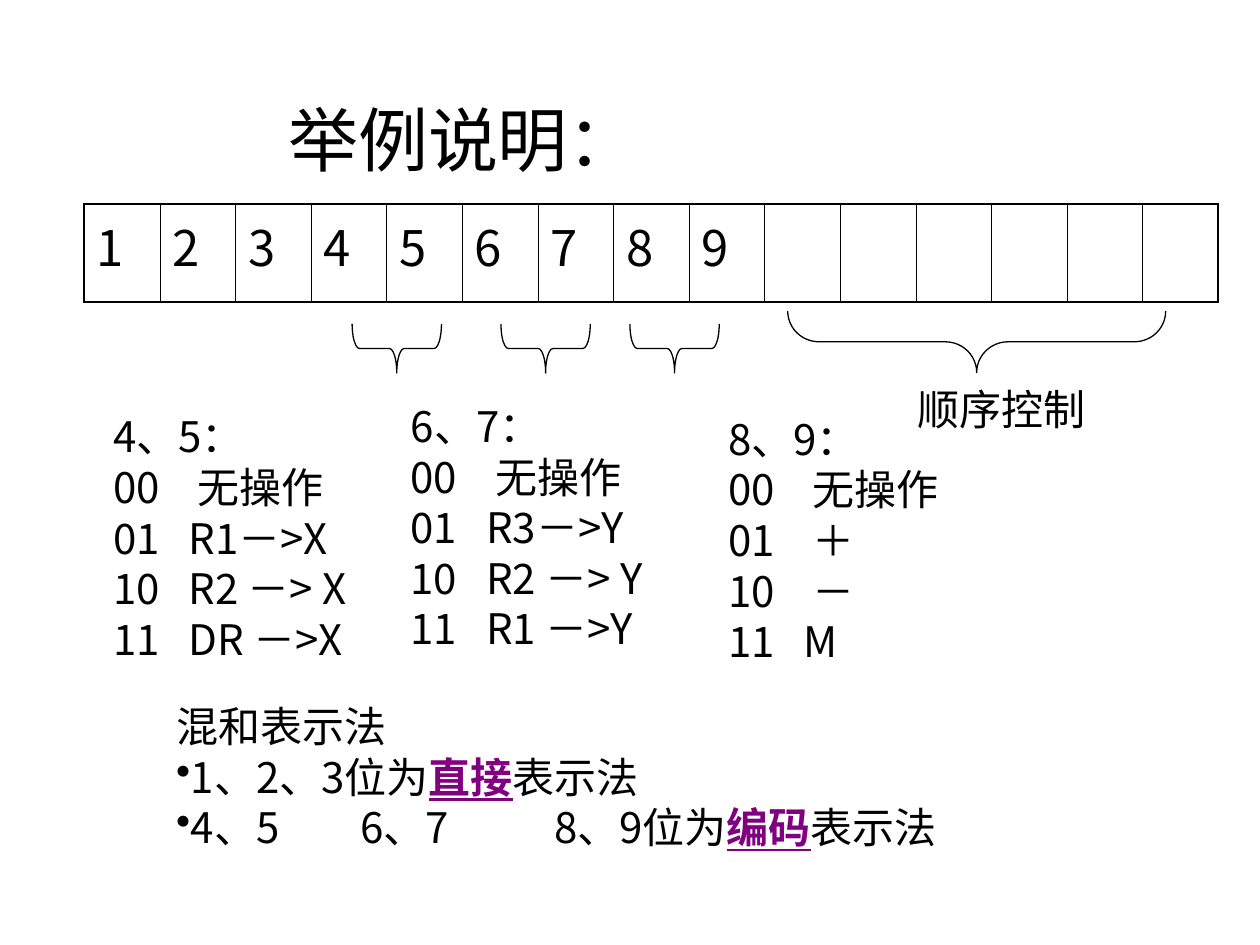
import pptx
import pptx.dml.color
import pptx.enum.shapes
import pptx.enum.text
import pptx.oxml
import pptx.oxml.ns
import pptx.util
from pptx.util import Cm

FONT = "Noto Sans CJK SC"
COLORS = {"ink": "000000", "key": "800080"}
LINE_PITCH = 1.205  # line height per point of text size
FRAME = {
    "word_wrap": True,
    "auto_size": pptx.enum.text.MSO_AUTO_SIZE.NONE,
    "vertical_anchor": pptx.enum.text.MSO_ANCHOR.TOP,
    "margin_left": Cm(0.25),
    "margin_right": Cm(0.25),
    "margin_top": Cm(0.2),
    "margin_bottom": Cm(0.13),
}
KEY_WORD = {"bold": True, "underline": True}


def apply(target, values):
    for name, value in values.items():
        setattr(target, name, value)


def rgb(name):
    return pptx.dml.color.RGBColor.from_string(COLORS[name])


def add_xml(parent, tag, **attributes):
    child = pptx.oxml.parse_xml(f"<a:{tag} {pptx.oxml.ns.nsdecls('a')}/>")
    for name, value in attributes.items():
        child.set(name, str(value))
    parent.append(child)
    return child


def write_paragraph(paragraph, parts, size, tabs=(), bullet=False):
    """Parts are (text, is key word) pairs; tabs are positions in cm."""
    properties = paragraph._p.get_or_add_pPr()
    if bullet:
        add_xml(add_xml(properties, "buClr"), "srgbClr", val=COLORS["ink"])
        add_xml(properties, "buChar", char="•")
    if tabs:
        stops = add_xml(properties, "tabLst")
        for position in tabs:
            add_xml(stops, "tab", pos=int(Cm(position)), algn="l")
    paragraph.line_spacing = pptx.util.Pt(round(size * LINE_PITCH, 1))
    for text, is_key in parts:
        run = paragraph.add_run()
        run.text = text
        apply(run.font, {"name": FONT, "size": pptx.util.Pt(size)})
        if is_key:
            apply(run.font, KEY_WORD)
        run.font.color.rgb = rgb("key" if is_key else "ink")
        add_xml(run._r.get_or_add_rPr(), "ea", typeface=FONT)


def add_text(slide, box, paragraphs, size=24, **frame_values):
    """Each paragraph is a dict of arguments for write_paragraph."""
    frame = slide.shapes.add_textbox(*map(Cm, box)).text_frame
    apply(frame, {**FRAME, **frame_values})
    for index, content in enumerate(paragraphs):
        paragraph = frame.add_paragraph() if index else frame.paragraphs[0]
        write_paragraph(paragraph, size=size, **content)


def set_borders(cell, widths):
    properties = cell._tc.get_or_add_tcPr()
    for index, (side, width) in enumerate(widths.items()):
        line = add_xml(properties, side, w=int(pptx.util.Pt(width)))
        add_xml(add_xml(line, "solidFill"), "srgbClr", val=COLORS["ink"])
        properties.remove(line)
        properties.insert(index, line)  # borders come before the fill


def add_instruction_word(slide, bits=15, numbered=9):
    word = slide.shapes.add_table(
        1, bits, Cm(1.7), Cm(4.11), Cm(22.86), Cm(1.98)).table
    apply(word, {"first_row": False, "horz_banding": False})
    for index, column in enumerate(word.columns):
        column.width = Cm(22.86 / bits)
        bit = word.cell(0, index)
        bit.fill.background()
        bit.margin_top = Cm(0.36)
        set_borders(bit, {
            "lnL": 1.08 if index == 0 else 0.45,
            "lnR": 1.08 if index == bits - 1 else 0.45,
            "lnT": 1.08,
            "lnB": 1.08,
        })
        if index < numbered:
            write_paragraph(bit.text_frame.paragraphs[0],
                            [(str(index + 1), False)], size=28)


def add_brace(slide, center, top, span, depth, curve):
    """A brace under the word, opening upwards."""
    brace = slide.shapes.add_shape(
        pptx.enum.shapes.MSO_SHAPE.LEFT_BRACE,
        Cm(center - depth / 2), Cm(top + depth / 2 - span / 2),
        Cm(depth), Cm(span))
    brace.rotation = 270
    brace.adjustments[0] = curve
    brace.shadow.inherit = False
    brace.fill.background()
    brace.line.color.rgb = rgb("ink")
    brace.line.width = pptx.util.Pt(0.75)


def add_code_list(slide, box, heading, meanings):
    lines = [{"parts": [(heading, False)]}]
    for code, meaning in enumerate(meanings):
        # Full-width text starts slightly further right
        tab = 1.52 if meaning[0].isascii() else 1.71
        lines.append({"parts": [(f"{code:02b}\t{meaning}", False)],
                      "tabs": [tab]})
    add_text(slide, box, lines)


def main():
    deck = pptx.Presentation()
    apply(deck, {"slide_width": Cm(25.4), "slide_height": Cm(19.05)})
    slide = deck.slides.add_slide(deck.slide_layouts[6])

    # Instruction word and its fields
    add_instruction_word(slide)
    add_brace(slide, 19.69, 6.27, 7.62, 1.24, 0.51)
    for center in (8, 11, 13.6):
        add_brace(slide, center, 6.53, 1.8, 0.99, 0.15)
    add_text(slide, (18.24, 7.52, 4.06, 1.27),
             [{"parts": [("顺序控制", False)]}])

    # Meaning of each encoded field
    add_code_list(slide, (2.03, 8.08, 7.37, 6.35), "4、5：",
                  ["无操作", "R1－>X", "R2 －> X", "DR －>X"])
    add_code_list(slide, (8.03, 7.87, 7.37, 6.35), "6、7：",
                  ["无操作", "R3－>Y", "R2 －> Y", "R1 －>Y"])
    add_code_list(slide, (14.43, 8.13, 5.79, 6.35), "8、9：",
                  ["无操作", "＋", "－", "M"])

    # Summary of the mixed method
    add_text(slide, (3.3, 13.92, 19.41, 3.3), [
        {"parts": [("混和表示法", False)]},
        {"parts": [("1、2、3位为", False), ("直接", True), ("表示法", False)],
         "bullet": True},
        {"parts": [("4、5\t6、7\t8、9位为", False), ("编码", True),
                   ("表示法", False)],
         "bullet": True, "tabs": [3.72, 7.62]},
    ])

    # Title
    add_text(slide, (4.29, 1.73, 10.21, 1.96),
             [{"parts": [("举例说明：", False)]}], size=40,
             margin_left=Cm(1.52))

    deck.save("out.pptx")


if __name__ == "__main__":
    main()
